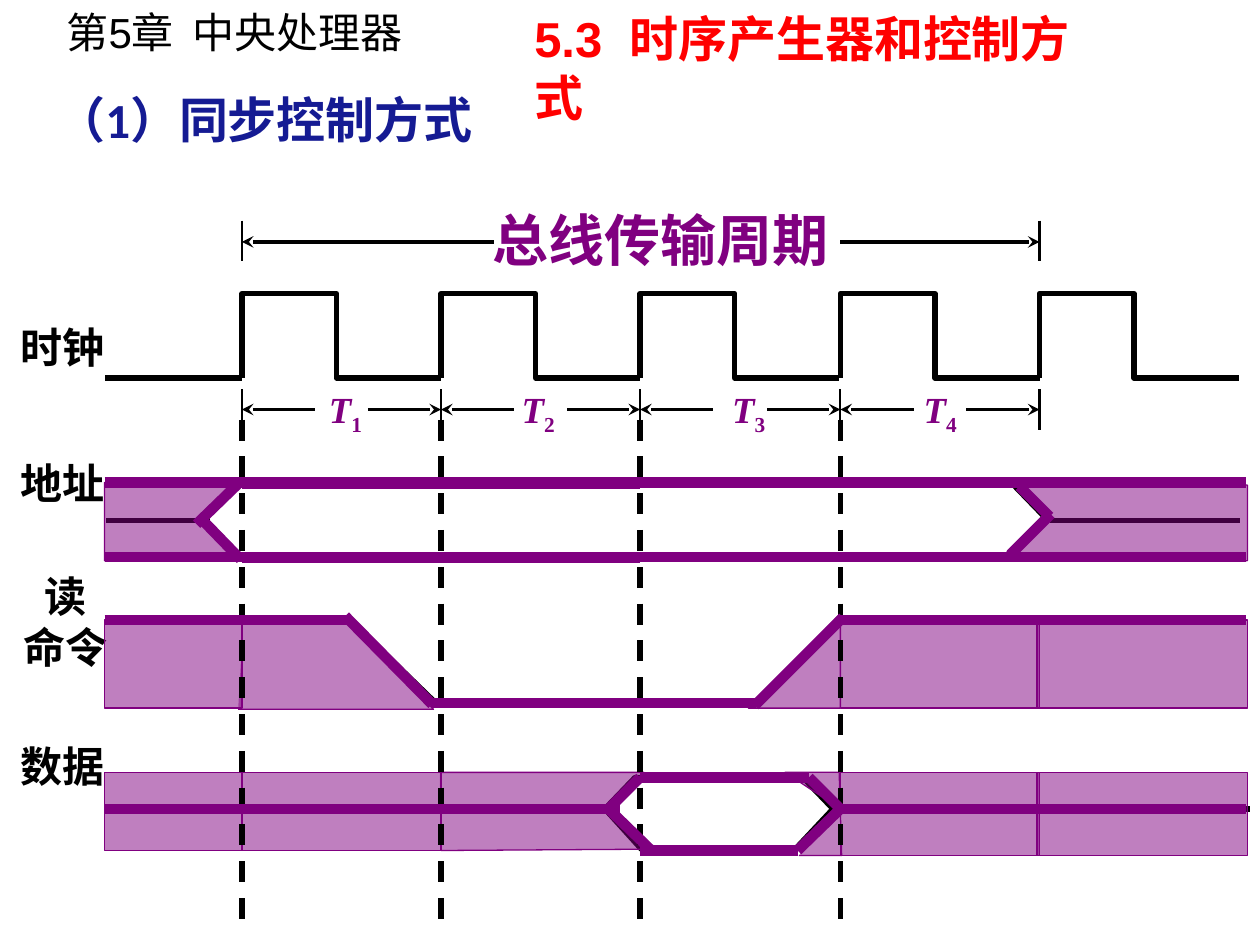
from itertools import pairwise

from lxml.etree import SubElement
from pptx import Presentation
from pptx.dml.color import RGBColor
from pptx.enum.dml import MSO_LINE
from pptx.enum.shapes import MSO_CONNECTOR, MSO_SHAPE
from pptx.enum.text import MSO_ANCHOR, MSO_AUTO_SIZE, PP_ALIGN
from pptx.oxml.ns import qn
from pptx.util import Inches, Pt

BLACK = RGBColor(0, 0, 0)
NAVY = RGBColor(0x15, 0x1B, 0x93)
RED = RGBColor(0xFF, 0, 0)
PURPLE = RGBColor(0x80, 0, 0x80)

START, END = 0.83, 9.89
EDGES = [1.92, 3.5, 5.08, 6.67, 8.25]  # rising edges of the clock
CLOCK_HIGH, CLOCK_LOW = 2.33, 3.0
PERIOD_Y, CYCLE_Y = 1.92, 3.25


def write_text(frame, text, size=24, font="Times New Roman", color=BLACK,
               bold=True, italic=False, subscript="", wrap=True,
               insets=(0.1, 0.05, 0.1, 0.05), indent=0):
    """Fill a text frame, one paragraph a line; indent applies to the first."""
    frame.word_wrap = wrap
    frame.auto_size = MSO_AUTO_SIZE.NONE
    frame.vertical_anchor = MSO_ANCHOR.TOP
    (frame.margin_left, frame.margin_top,
     frame.margin_right, frame.margin_bottom) = map(Inches, insets)
    for number, line in enumerate(text.split("\n")):
        paragraph = frame.add_paragraph() if number else frame.paragraphs[0]
        paragraph.alignment = PP_ALIGN.LEFT
        if indent and not number:
            paragraph._p.get_or_add_pPr().set("indent", str(Inches(indent)))
        parts = [(line, False)] + ([(subscript, True)] if subscript else [])
        for part, lowered in parts:
            run = paragraph.add_run()
            run.text = part
            run.font.size = Pt(size)
            run.font.name = font
            run.font.bold = bold
            run.font.italic = italic and not lowered
            run.font.color.rgb = color
            if lowered:
                run.font._element.set("baseline", "-25000")


class TimingDiagram:
    bar_width = 6
    edge_width = 0.75
    tick_width = 1.25

    def __init__(self, slide):
        self.slide = slide
        self.shapes = slide.shapes

    def title(self, text, left, top, width, height, **style):
        shape = self.shapes.title
        shape.left, shape.top = Inches(left), Inches(top)
        shape.width, shape.height = Inches(width), Inches(height)
        write_text(shape.text_frame, text, **style)

    def text(self, text, left, top, width, height, **style):
        box = self.shapes.add_textbox(*map(Inches, (left, top, width, height)))
        write_text(box.text_frame, text, **style)

    def label(self, text, left, top, height=0.5, indent=0):
        self.text(text, left, top, 1, height, indent=indent,
                  insets=(0, 0.05, 0.1, 0.05))

    def line(self, start, end, width=3, color=BLACK, dashed=False, arrow=None):
        """Draw a straight line; arrow is "headEnd" (start) or "tailEnd"."""
        connector = self.shapes.add_connector(
            MSO_CONNECTOR.STRAIGHT, *map(Inches, (*start, *end)))
        connector.line.color.rgb = color
        connector.line.width = Pt(width)
        if dashed:
            connector.line.dash_style = MSO_LINE.DASH
        properties = connector._element.spPr
        if arrow:
            SubElement(properties.find(qn("a:ln")), qn("a:" + arrow),
                       type="stealth")
        SubElement(properties, qn("a:effectLst"))

    def bar(self, start, end):
        self.line(start, end, self.bar_width, PURPLE)

    def level(self, y, *stops, width=bar_width):
        """Draw a steady signal level as one bar between each pair of stops."""
        for left, right in pairwise(stops):
            self.line((left, y), (right, y), width, PURPLE)

    def outline(self, points, width=3, close=False):
        first, *others = [(Inches(x), Inches(y)) for x, y in points]
        builder = self.shapes.build_freeform(*first)
        builder.add_line_segments(others, close=close)
        shape = builder.convert_to_shape()
        shape.shadow.inherit = False
        shape.fill.background()
        shape.line.color.rgb = BLACK
        shape.line.width = Pt(width)
        return shape

    def shade(self, shape):
        shape.shadow.inherit = False
        shape.fill.solid()
        shape.fill.fore_color.rgb = PURPLE
        color = shape._element.spPr.find(qn("a:solidFill"))[0]
        SubElement(color, qn("a:alpha"), val="50000")
        shape.line.color.rgb = PURPLE
        shape.line.width = Pt(self.edge_width)

    def shaded_area(self, *points):
        self.shade(self.outline(points))

    def shaded_box(self, left, top, right, bottom):
        self.shade(self.shapes.add_shape(
            MSO_SHAPE.RECTANGLE,
            *map(Inches, (left, top, right - left, bottom - top))))


def draw_clock(diagram):
    diagram.label("时钟", 0.16, 2.5)
    diagram.line((EDGES[0], CLOCK_LOW), (START, CLOCK_LOW))
    for x in EDGES:
        diagram.outline([(x, CLOCK_LOW), (x, CLOCK_HIGH), (x + 0.75, CLOCK_HIGH),
                         (x + 0.75, CLOCK_LOW), (x + 1.58, CLOCK_LOW)])
        diagram.line((x, 3.09), (x, 3.41), diagram.tick_width)
    for x in (EDGES[0], EDGES[-1]):
        diagram.line((x, 1.75), (x, 2.07), diagram.tick_width)

    diagram.text("总线传输周期", 3.91, 1.63, 2.8, 0.53, size=32, color=PURPLE,
                 font="Noto Sans CJK SC", insets=(0, 0, 0, 0))
    diagram.line((EDGES[0], PERIOD_Y), (3.92, PERIOD_Y), 2.25, arrow="headEnd")
    diagram.line((6.67, PERIOD_Y), (EDGES[-1], PERIOD_Y), 2.25, arrow="tailEnd")

    label_lefts = [2.61, 4.14, 5.81, 7.33]
    for number, (left, (start, end)) in enumerate(
            zip(label_lefts, pairwise(EDGES)), 1):
        diagram.text("T", left, 3.07, 0.28, 0.35, size=21, color=PURPLE,
                     italic=True, subscript=str(number), wrap=False,
                     insets=(0, 0, 0, 0))
        diagram.line((start, CYCLE_Y), (start + 0.58, CYCLE_Y), 2.25,
                     arrow="headEnd")
        diagram.line((end - 0.58, CYCLE_Y), (end, CYCLE_Y), 2.25,
                     arrow="tailEnd")


def draw_base_lines(diagram):
    """Draw the labels and the thin black signals that lie under the colour."""
    diagram.label("地址", 0.16, 3.58)
    diagram.outline([(1.91, 3.83), (1.62, 4.13), (1.92, 4.43), (8.02, 4.43),
                     (8.31, 4.13), (8.02, 3.83)], width=2.5, close=True)
    diagram.line((1.67, 4.13), (0.84, 4.13))
    diagram.line((8.33, 4.13), (9.84, 4.13))

    diagram.label("读\n命令", 0.19, 4.48, height=0.9, indent=0.16)
    command = [(0.84, 4.9), (2.76, 4.9), (3.45, 5.57), (6.01, 5.57),
               (6.69, 4.9), (9.87, 4.9)]
    for start, end in pairwise(command):
        diagram.line(start, end)

    diagram.label("数据", 0.16, 5.83)
    diagram.line((START, 6.42), (4.8, 6.42))
    diagram.line((6.61, 6.42), (9.92, 6.42))
    diagram.outline([(4.8, 6.42), (5.04, 6.17), (6.37, 6.17), (6.61, 6.42),
                     (6.31, 6.74), (5.09, 6.74)], close=True)


def draw_shading(diagram):
    diagram.shaded_area((1.62, 4.17), (1.84, 3.84), (0.83, 3.83), (0.83, 4.45),
                        (1.9, 4.45))
    diagram.shaded_area((8.06, 3.83), (9.9, 3.85), (9.9, 4.45), (7.92, 4.45),
                        (8.31, 4.08))
    for left, right in ((START, 1.92), (6.67, 8.25), (8.23, 9.9)):
        diagram.shaded_box(left, 4.92, right, 5.62)
    diagram.shaded_area((1.89, 5.63), (3.44, 5.63), (2.76, 4.92), (1.93, 4.94))
    diagram.shaded_area((5.94, 5.62), (6.67, 5.62), (6.67, 4.87), (5.94, 5.62))
    for left, right, bottom in ((START, 1.92, 6.75), (1.92, 3.5, 6.75),
                                (6.67, 8.25, 6.79), (8.23, 9.9, 6.79)):
        diagram.shaded_box(left, 6.13, right, bottom)
    diagram.shaded_area((3.49, 6.13), (5.11, 6.13), (4.83, 6.42), (5.11, 6.74),
                        (3.5, 6.75))
    diagram.shaded_area((6.67, 6.42), (6.23, 6.13), (6.66, 6.13), (6.68, 6.79),
                        (6.34, 6.79))


def draw_signals(diagram):
    for y in (3.83, 4.42):
        diagram.level(y, START, *EDGES[:3], 6, *EDGES[3:], END)
        diagram.level(y + 0.03, *EDGES[:3], width=3)
    diagram.level(4.92, START, EDGES[0], 2.75)
    diagram.level(5.58, 3.42, 5.13, 6)
    diagram.level(6.42, START, *EDGES[:2], 4.92)
    diagram.level(6.17, EDGES[2], 6, 6.42)
    diagram.level(6.75, EDGES[2], 6, 6.33)
    for y in (4.92, 6.42):
        diagram.level(y, *EDGES[3:], END)
    slopes = [((1.91, 4.44), (1.59, 4.11)), ((1.89, 3.84), (1.56, 4.16)),
              ((8.34, 4.08), (8.02, 4.4)), ((8.33, 4.1), (8.09, 3.86)),
              ((3.43, 5.59), (2.74, 4.89)), ((6.69, 4.9), (5.99, 5.6)),
              ((4.83, 6.42), (5.08, 6.17)), ((4.83, 6.42), (5.17, 6.75)),
              ((6.33, 6.75), (6.67, 6.42)), ((6.42, 6.17), (6.67, 6.42))]
    for start, end in slopes:
        diagram.bar(start, end)


def main():
    presentation = Presentation()
    presentation.slide_width, presentation.slide_height = Inches(10), Inches(7.5)
    diagram = TimingDiagram(
        presentation.slides.add_slide(presentation.slide_layouts[5]))
    diagram.text("第5章  中央处理器", 0.43, 0, 4.02, 0.5, font="Arial", bold=False)
    diagram.text("（1）同步控制方式", 0.35, 0.66, 3.56, 0.57, size=28,
                 font="Calibri", color=NAVY)
    diagram.title("5.3  时序产生器和控制方式", 4.14, 0.02, 4.8, 0.57, size=28,
                  font="Arial", color=RED)
    draw_clock(diagram)
    draw_base_lines(diagram)
    draw_shading(diagram)
    for x in EDGES[:4]:
        diagram.line((x, 3.33), (x, 7.4), dashed=True)
    draw_signals(diagram)
    presentation.save("out.pptx")


if __name__ == "__main__":
    main()
